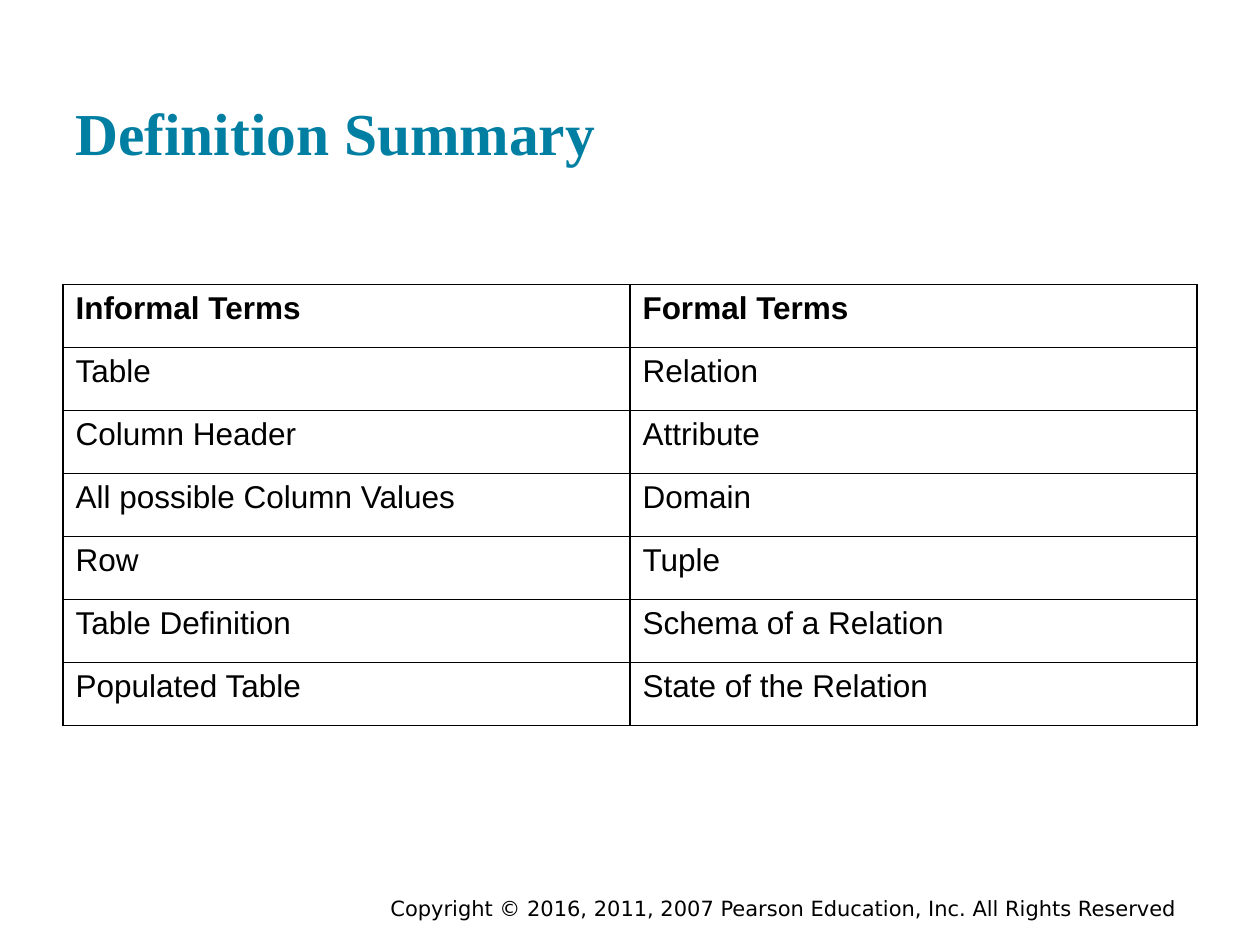
import pptx
import pptx.dml.color
import pptx.enum.text
import pptx.oxml
import pptx.oxml.ns
import pptx.util
from pptx.util import Inches

BLACK = pptx.dml.color.RGBColor(0x00, 0x00, 0x00)
WHITE = pptx.dml.color.RGBColor(0xFF, 0xFF, 0xFF)
TEAL = pptx.dml.color.RGBColor(0x00, 0x7F, 0xA3)

TERMS = [
    ("Informal Terms", "Formal Terms"),
    ("Table", "Relation"),
    ("Column Header", "Attribute"),
    ("All possible Column Values", "Domain"),
    ("Row", "Tuple"),
    ("Table Definition", "Schema of a Relation"),
    ("Populated Table", "State of the Relation"),
]
ROW_HEIGHT = 0.5
COLUMN_WIDTH = 4.5


def style_paragraph(para, name, size, color, bold=False):
    para.font.name = name
    para.font.size = pptx.util.Pt(size)
    para.font.color.rgb = color
    para.font.bold = bold


def add_text(page, text, left, top, width, height, anchor, inset):
    box = page.shapes.add_textbox(
        Inches(left), Inches(top), Inches(width), Inches(height)
    )
    frame = box.text_frame
    frame.word_wrap = True
    frame.vertical_anchor = anchor
    frame.margin_top = frame.margin_bottom = Inches(inset)
    para = frame.paragraphs[0]
    para.text = text
    return para


def add_borders(cell):
    properties = cell._tc.get_or_add_tcPr()
    for position, side in enumerate(("lnL", "lnR", "lnT", "lnB")):
        border = pptx.oxml.parse_xml(
            f'<a:{side} {pptx.oxml.ns.nsdecls("a")} w="{pptx.util.Pt(1)}">'
            f'<a:solidFill><a:srgbClr val="{BLACK}"/></a:solidFill></a:{side}>'
        )
        properties.insert(position, border)


def add_terms_table(page, left, top):
    columns = len(TERMS[0])
    table = page.shapes.add_table(
        len(TERMS),
        columns,
        Inches(left),
        Inches(top),
        Inches(COLUMN_WIDTH * columns),
        Inches(ROW_HEIGHT * len(TERMS)),
    ).table
    table.horz_banding = False
    for row, terms in enumerate(TERMS):
        for column, term in enumerate(terms):
            cell = table.cell(row, column)
            cell.fill.solid()
            cell.fill.fore_color.rgb = WHITE
            add_borders(cell)
            cell.text = term
            para = cell.text_frame.paragraphs[0]
            style_paragraph(para, "Arial", 18, BLACK, bold=row == 0)


def main():
    deck = pptx.Presentation()
    deck.slide_width = Inches(10)
    deck.slide_height = Inches(7.5)
    page = deck.slides.add_slide(deck.slide_layouts[6])

    anchors = pptx.enum.text.MSO_ANCHOR
    title = add_text(
        page, "Definition Summary", 0.5, 0.66, 9, 0.77, anchors.BOTTOM, 0.1
    )
    style_paragraph(title, "Times New Roman", 34, TEAL, bold=True)

    add_terms_table(page, 0.5, 2.26)

    copyright_line = add_text(
        page,
        "Copyright © 2016, 2011, 2007 Pearson Education, Inc. All Rights Reserved",
        3, 7.08, 6.65, 0.25, anchors.MIDDLE, 0.05,
    )
    style_paragraph(copyright_line, "DejaVu Sans", 12, BLACK)

    deck.save("out.pptx")


if __name__ == "__main__":
    main()
